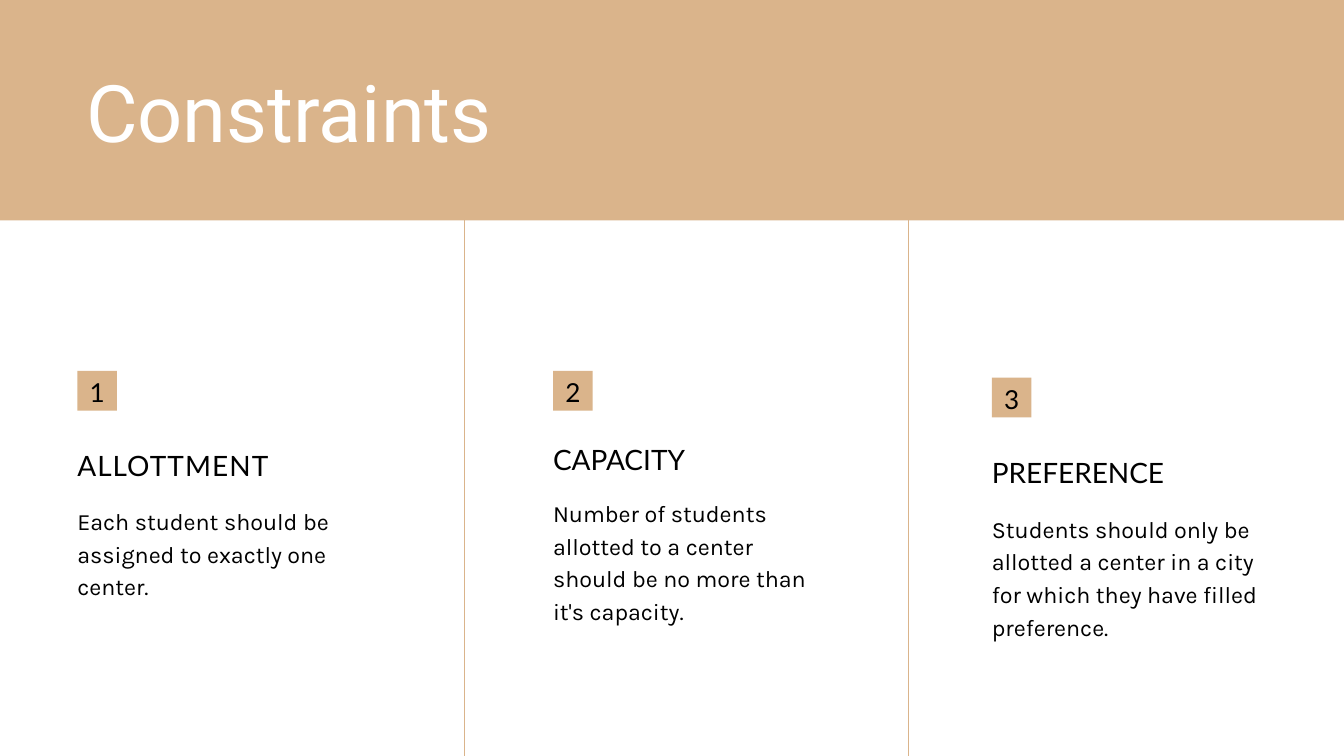
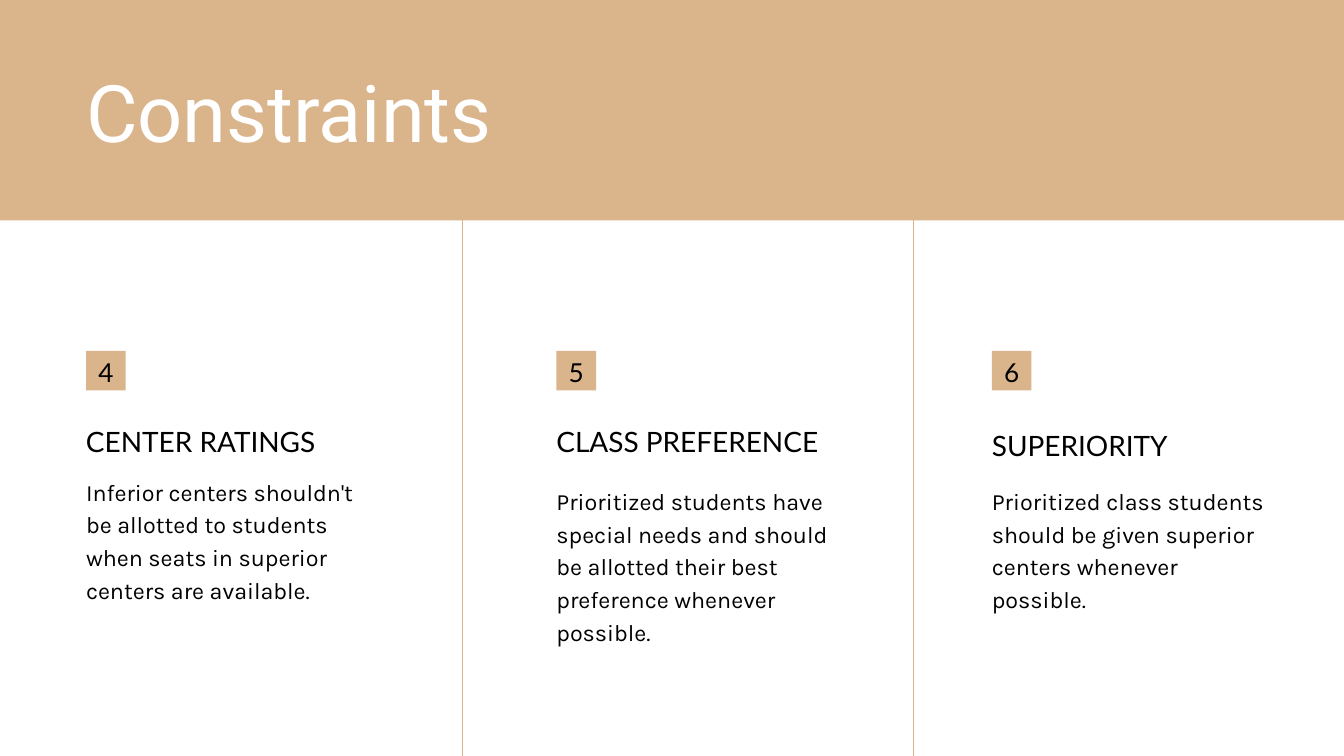
"""Build two slides that list six constraints in three columns each."""
from pptx import Presentation
from pptx.dml.color import RGBColor
from pptx.enum.shapes import MSO_CONNECTOR as Connector, MSO_SHAPE as Shape
from pptx.enum.text import MSO_AUTO_SIZE as AutoSize, PP_ALIGN as Align
from pptx.oxml.ns import qn
from pptx.util import Inches, Pt
from lxml.etree import SubElement

COLOURS = {"tan": "DAB48B", "white": "FFFFFF", "black": "000000"}
STYLES = {
    "title": dict(font="Roboto", size=85, leading=93.5, colour="white"),
    "number": dict(font="Lato", size=28, leading=36.4, colour="black", tracking=1.1, align=Align.CENTER),
    "heading": dict(font="Lato", size=30, leading=39, colour="black"),
    "body": dict(font="Karla", size=25, leading=35, colour="black"),
}
TITLE = "Constraints"
SLIDES = [
    {
        "dividers": (6.91, 13.52),
        "constraints": [
            dict(number="1", heading="ALLOTTMENT", tracking=1.2, left=1.15, tops=(5.52, 6.63, 7.48), lines=3,
                 body="Each student should be assigned to exactly one center."),
            dict(number="2", heading="CAPACITY", left=8.23, tops=(5.52, 6.54, 7.36), lines=4,
                 body="Number of students allotted to a center should be no more than it's capacity."),
            dict(number="3", heading="PREFERENCE", left=14.76, tops=(5.62, 6.74, 7.59), lines=4,
                 body="Students should only be allotted a center in a city for which they have filled preference."),
        ],
    },
    {
        "dividers": (6.88, 13.59),
        "constraints": [
            dict(number="4", heading="CENTER RATINGS", left=1.28, tops=(5.22, 6.27, 7.04), lines=4,
                 body="Inferior centers shouldn't be allotted to students when seats in superior centers are available."),
            dict(number="5", heading="CLASS PREFERENCE", left=8.28, tops=(5.22, 6.27, 7.18), lines=5,
                 body="Prioritized students have special needs and should be allotted their best preference "
                      "whenever possible."),
            dict(number="6", heading="SUPERIORITY", left=14.76, tops=(5.22, 6.33, 7.18), lines=4,
                 body="Prioritized class students should be given superior centers whenever possible."),
        ],
    },
]
WIDTH, HEIGHT = 20, 11.25
BAND_HEIGHT = 3.28
BADGE, NUMBER_WIDTH = 0.59, 0.35
HEADING_WIDTH, BODY_WIDTH = 4.06, 4.12
LINE_HEIGHT = 0.48


def colour(name):
    return RGBColor.from_string(COLOURS[name])


def add_block(slide, left, top, width, height):
    block = slide.shapes.add_shape(Shape.RECTANGLE, *map(Inches, (left, top, width, height)))
    block.shadow.inherit = False
    block.fill.solid()
    block.fill.fore_color.rgb = colour("tan")
    block.line.fill.background()


def add_words(slide, words, style, left, top, width, height, tracking=None):
    look = STYLES[style]
    frame = slide.shapes.add_textbox(*map(Inches, (left, top, width, height))).text_frame
    frame.word_wrap = True
    frame.auto_size = AutoSize.SHAPE_TO_FIT_TEXT
    frame.margin_left = frame.margin_right = frame.margin_top = frame.margin_bottom = 0
    paragraph = frame.paragraphs[0]
    paragraph.alignment = look.get("align", Align.LEFT)
    paragraph.line_spacing = Pt(look["leading"])
    run = paragraph.add_run()
    run.text = words
    run.font.name = look["font"]
    run.font.size = Pt(look["size"])
    run.font.color.rgb = colour(look["colour"])
    tracking = tracking or look.get("tracking")
    if tracking:
        run._r.get_or_add_rPr().set("spc", str(round(tracking * 100)))


def add_divider(slide, x):
    divider = slide.shapes.add_connector(
        Connector.STRAIGHT, *map(Inches, (x, BAND_HEIGHT, x, HEIGHT)))
    divider.line.color.rgb = colour("tan")
    divider.line.width = Pt(1.5)
    SubElement(divider._element.spPr, qn("a:effectLst"))


def add_constraint(slide, constraint):
    left = constraint["left"]
    badge_top, heading_top, body_top = constraint["tops"]
    add_block(slide, left, badge_top, BADGE, BADGE)
    add_words(slide, constraint["number"], "number", left + (BADGE - NUMBER_WIDTH) / 2,
              badge_top + 0.04, NUMBER_WIDTH, LINE_HEIGHT)
    add_words(slide, constraint["heading"], "heading", left, heading_top,
              HEADING_WIDTH, 0.52, constraint.get("tracking"))
    add_words(slide, constraint["body"], "body", left, body_top,
              BODY_WIDTH, constraint["lines"] * LINE_HEIGHT)


def main():
    deck = Presentation()
    deck.slide_width, deck.slide_height = Inches(WIDTH), Inches(HEIGHT)
    for content in SLIDES:
        slide = deck.slides.add_slide(deck.slide_layouts[6])
        add_block(slide, 0, 0, WIDTH, BAND_HEIGHT)
        add_words(slide, TITLE, "title", 1.28, 1.06, 12.25, 1.33)
        for x in content["dividers"]:
            add_divider(slide, x)
        for constraint in content["constraints"]:
            add_constraint(slide, constraint)
    deck.save("out.pptx")


if __name__ == "__main__":
    main()
